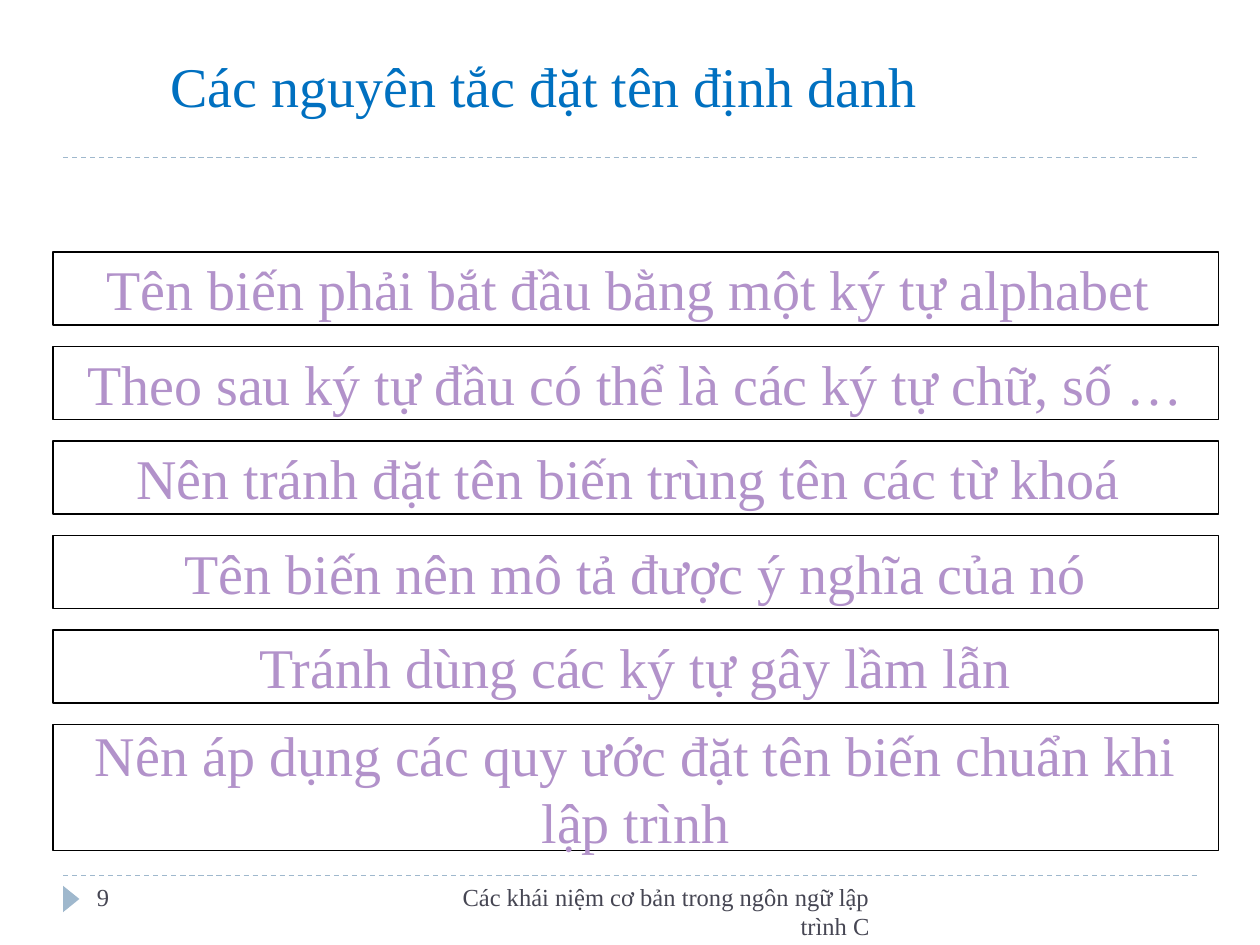
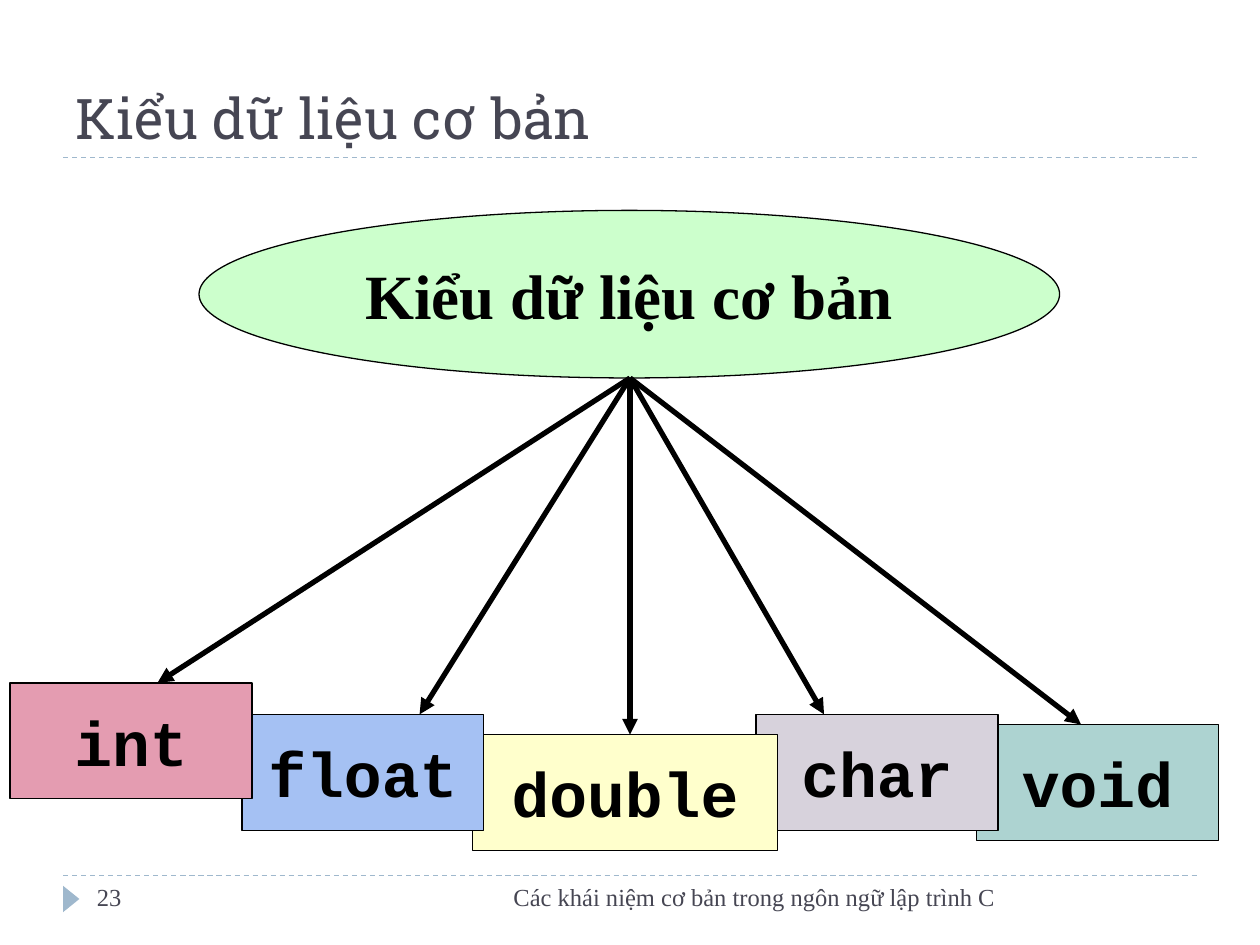
from pptx import Presentation
from pptx.dml.color import RGBColor
from pptx.enum.dml import MSO_LINE
from pptx.enum.shapes import MSO_CONNECTOR, MSO_SHAPE
from pptx.enum.text import MSO_ANCHOR, MSO_AUTO_SIZE, PP_ALIGN
from pptx.oxml.ns import qn
from pptx.util import Inches, Pt
from lxml.etree import SubElement

SERIF = "Times New Roman"
# Text styles are (font, size, colour, bold).
THEME = {
    "accent": "9FB8CD",
    "ink": "000000",
    "edge": 0.75,
    "arrow": 3,
    "lead": (SERIF, 32, "0070C0", False),
    "title": ("Roboto Slab", 32, "464653", False),
    "foot": (SERIF, 14, "464653", False),
    "rule": (SERIF, 32, "B292CA", False),
    "root": (SERIF, 36, "000000", True),
    "type": ("Courier New", 36, "000000", True),
}


def write(shape, text, style, align=PP_ALIGN.LEFT, anchor=MSO_ANCHOR.TOP):
    """Fill a shape with one paragraph in a theme style."""
    frame = shape.text_frame
    frame.text = text
    frame.word_wrap = True
    frame.auto_size = MSO_AUTO_SIZE.NONE
    frame.vertical_anchor = anchor
    para = frame.paragraphs[0]
    para.alignment = align
    font = para.runs[0].font
    font.name, size, tint, font.bold = THEME[style]
    font.size = Pt(size)
    font.color.rgb = RGBColor.from_string(tint)


def link(slide, start, end, tint, width):
    """Draw a straight line and return it."""
    line = slide.shapes.add_connector(
        MSO_CONNECTOR.STRAIGHT, *map(Inches, start + end))
    line.line.color.rgb = RGBColor.from_string(tint)
    line.line.width = Pt(width)
    SubElement(line._element.spPr, qn("a:effectLst"))
    return line


deck = Presentation()
deck.slide_width, deck.slide_height = Inches(10), Inches(7.5)

# Title, title place, title style, anchor, page number, footer width
pages = [
    ("Các nguyên tắc đặt tên định danh", (1.25, 0.36, 7.75, 0.64),
     "lead", MSO_ANCHOR.TOP, "9", 3.83),
    ("Kiểu dữ liệu cơ bản", (0.5, 0.25, 9, 1),
     "title", MSO_ANCHOR.BOTTOM, "23", 4.83),
]
for head, place, style, anchor, number, width in pages:
    slide = deck.slides.add_slide(deck.slide_layouts[5])
    for y in (6.95, 1.25):
        band = link(slide, (0.5, y), (9.5, y), THEME["accent"], THEME["edge"])
        band.line.dash_style = MSO_LINE.DASH

    mark = slide.shapes.add_shape(
        MSO_SHAPE.ISOSCELES_TRIANGLE, *map(Inches, (0.46, 7.07, 0.21, 0.13)))
    mark.rotation = 90
    mark.shadow.inherit = False
    mark.fill.solid()
    mark.fill.fore_color.rgb = RGBColor.from_string(THEME["accent"])
    mark.line.fill.background()

    title = slide.shapes.title
    title.left, title.top, title.width, title.height = map(Inches, place)
    write(title, head, style, anchor=anchor)

    foot = slide.shapes.add_textbox(*map(Inches, (3.17, 6.95, width, 0.4)))
    write(foot, "Các khái niệm cơ bản trong ngôn ngữ lập trình C", "foot",
          PP_ALIGN.RIGHT)
    page = slide.shapes.add_textbox(*map(Inches, (0.67, 6.95, 2.17, 0.4)))
    write(page, number, "foot")

naming, typing = deck.slides

rules = [
    "Tên biến phải bắt đầu bằng một ký tự alphabet ",
    "Theo sau ký tự đầu có thể là các ký tự chữ, số …",
    "Nên tránh đặt tên biến trùng tên các từ khoá ",
    "Tên biến nên mô tả được ý nghĩa của nó",
    "Tránh dùng các ký tự gây lầm lẫn",
    "Nên áp dụng các quy ước đặt tên biến chuẩn khi lập trình",
]
# Name, left, top, width, fill, x of the arrow tip; from back to front
types = [
    ("void", 7.75, 5.75, 1.92, "ADD3D1", 8.58),
    ("char", 6, 5.67, 1.92, "D7D2DC", 6.54),
    ("double", 3.75, 5.83, 2.42, "FFFFCC", 5),
    ("float", 1.92, 5.67, 1.92, "A5C1F3", 3.33),
    ("int", 0.08, 5.42, 1.92, "E49CB1", 1.25),
]

boxes = []
for i, rule in enumerate(rules):
    high = 1 if rule == rules[-1] else 0.58
    boxes.append((naming, MSO_SHAPE.RECTANGLE, (0.42, 2 + 0.75 * i, 9.25, high),
                  None, rule, "rule"))
boxes.append((typing, MSO_SHAPE.OVAL, (1.58, 1.67, 6.83, 1.33),
              "CCFFCC", "Kiểu dữ liệu cơ bản", "root"))
for name, left, top, width, fill, tip in types:
    boxes.append((typing, MSO_SHAPE.RECTANGLE, (left, top, width, 0.92),
                  fill, name, "type"))

for slide, kind, place, fill, text, style in boxes:
    box = slide.shapes.add_shape(kind, *map(Inches, place))
    box.shadow.inherit = False
    if fill:
        box.fill.solid()
        box.fill.fore_color.rgb = RGBColor.from_string(fill)
    else:
        box.fill.background()
    box.line.color.rgb = RGBColor.from_string(THEME["ink"])
    box.line.width = Pt(THEME["edge"])
    write(box, text, style, PP_ALIGN.CENTER, MSO_ANCHOR.MIDDLE)

for name, left, top, width, fill, tip in types:
    arrow = link(typing, (5, 3), (tip, top), THEME["ink"], THEME["arrow"])
    SubElement(arrow.line._get_or_add_ln(), qn("a:tailEnd"), type="triangle")

deck.save("out.pptx")
